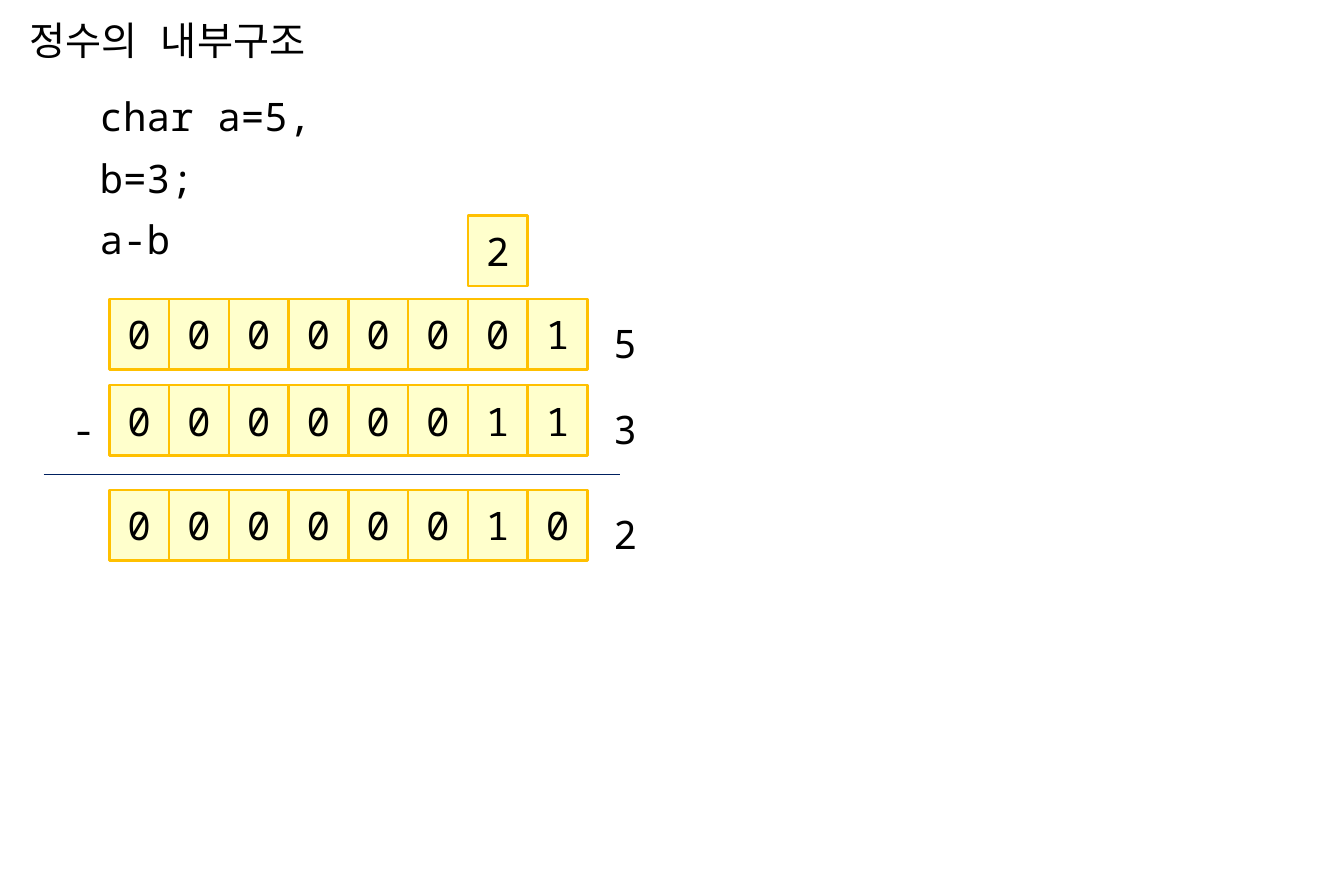
from dataclasses import dataclass

from lxml import etree
from pptx import Presentation
from pptx.dml.color import RGBColor
from pptx.enum.shapes import MSO_CONNECTOR, MSO_SHAPE
from pptx.enum.text import MSO_ANCHOR, MSO_AUTO_SIZE, PP_ALIGN
from pptx.oxml.ns import qn
from pptx.util import Cm, Pt

RECTANGLE = MSO_SHAPE.RECTANGLE
STRAIGHT = MSO_CONNECTOR.STRAIGHT
MIDDLE = MSO_ANCHOR.MIDDLE
CENTER = PP_ALIGN.CENTER
GROW = MSO_AUTO_SIZE.SHAPE_TO_FIT_TEXT


@dataclass(frozen=True)
class Theme:
    font: str = "Noto Sans Mono"
    size: float = 24
    line_spacing: float = 1.3
    ink: str = "000000"
    bit_fill: str = "FFFFCC"
    bit_border: str = "FFC000"
    bit_border_width: float = 1.5
    rule: str = "002060"
    rule_width: float = 0.75


class SlideBuilder:
    def __init__(self, page, theme):
        self.page = page
        self.theme = theme

    def add_span(self, para, content):
        span = para.add_run()
        span.text = content
        span.font.name = self.theme.font
        span.font.size = Pt(self.theme.size)
        span.font.color.rgb = RGBColor.from_string(self.theme.ink)
        east_asian = etree.SubElement(span.font._element, qn("a:ea"))
        east_asian.set("typeface", self.theme.font)

    def add_text(self, lines, left, top, width, height):
        box = self.page.shapes.add_textbox(Cm(left), Cm(top), Cm(width), Cm(height))
        frame = box.text_frame
        frame.word_wrap = True
        frame.auto_size = GROW
        for index, line in enumerate(lines):
            para = frame.add_paragraph() if index else frame.paragraphs[0]
            para.line_spacing = self.theme.line_spacing
            self.add_span(para, line)

    def add_bit(self, digit, left, top):
        box = self.page.shapes.add_shape(
            RECTANGLE, Cm(left), Cm(top), Cm(BIT_WIDTH), Cm(BIT_HEIGHT)
        )
        box.shadow.inherit = False
        box.fill.solid()
        box.fill.fore_color.rgb = RGBColor.from_string(self.theme.bit_fill)
        box.line.color.rgb = RGBColor.from_string(self.theme.bit_border)
        box.line.width = Pt(self.theme.bit_border_width)
        frame = box.text_frame
        frame.word_wrap = True
        frame.vertical_anchor = MIDDLE
        frame.margin_left = frame.margin_right = Cm(0.05)
        frame.margin_top = frame.margin_bottom = Cm(0.13)
        para = frame.paragraphs[0]
        para.alignment = CENTER
        self.add_span(para, digit)

    def add_byte(self, bits, value, top):
        for column, digit in enumerate(bits):
            self.add_bit(digit, BYTE_LEFT + column * BIT_WIDTH, top)
        self.add_label(value, VALUE_LEFT, top)

    def add_label(self, content, left, top):
        self.add_text([content], left, top, LABEL_WIDTH, LABEL_HEIGHT)

    def add_rule(self, left, right, top):
        rule = self.page.shapes.add_connector(
            STRAIGHT, Cm(left), Cm(top), Cm(right), Cm(top)
        )
        rule.line.color.rgb = RGBColor.from_string(self.theme.rule)
        rule.line.width = Pt(self.theme.rule_width)
        etree.SubElement(rule._element.spPr, qn("a:effectLst"))


BIT_WIDTH, BIT_HEIGHT = 1.29, 1.52
BYTE_LEFT, VALUE_LEFT = 2.36, 12.99
LABEL_WIDTH, LABEL_HEIGHT = 0.84, 1.47
BORROW_TOP, MINUEND_TOP, SUBTRAHEND_TOP, RESULT_TOP = 4.65, 6.45, 8.31, 10.57
BORROW_COLUMN = 6


def main():
    deck = Presentation()
    deck.slide_width, deck.slide_height = Cm(29.01), Cm(19.05)
    page = deck.slides.add_slide(deck.slide_layouts[6])
    builder = SlideBuilder(page, Theme())

    builder.add_text(["정수의 내부구조"], 0.38, -0.08, 6.96, LABEL_HEIGHT)
    builder.add_text(["char a=5, b=3;", "a-b"], 1.9, 1.57, 7.11, 2.82)
    builder.add_byte("00000001", "5", MINUEND_TOP)
    builder.add_byte("00000011", "3", SUBTRAHEND_TOP)
    builder.add_label("-", 1.3, SUBTRAHEND_TOP)
    builder.add_rule(0.94, 13.39, 10.24)
    builder.add_byte("00000010", "2", RESULT_TOP)
    builder.add_bit("2", BYTE_LEFT + BORROW_COLUMN * BIT_WIDTH, BORROW_TOP)

    deck.save("out.pptx")


if __name__ == "__main__":
    main()
